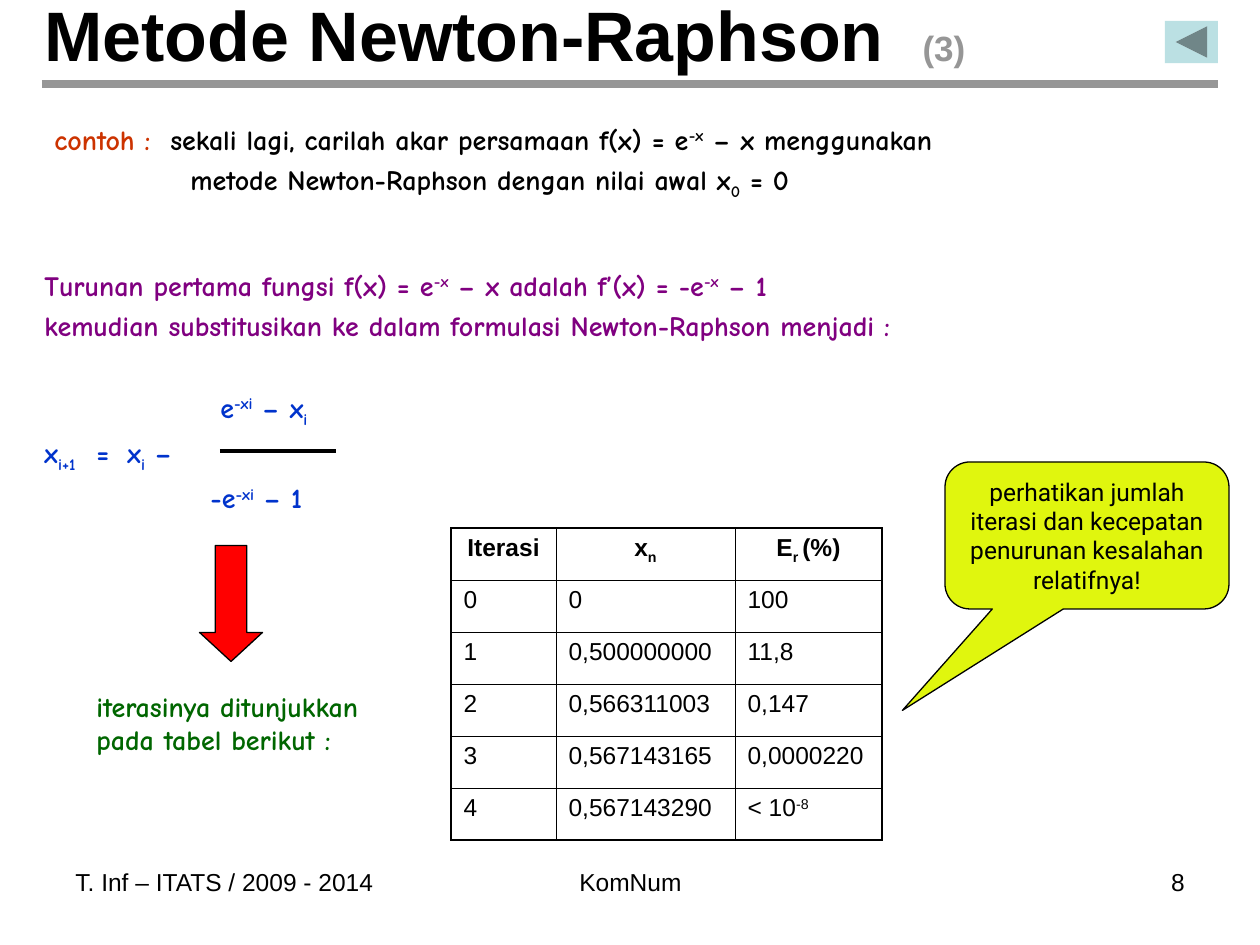
from typing import NamedTuple, Optional

import lxml.etree
import pptx
import pptx.dml.color
import pptx.enum.shapes
import pptx.enum.text
import pptx.oxml.ns
import pptx.util

RGB = pptx.dml.color.RGBColor
SHAPE = pptx.enum.shapes.MSO_SHAPE
ALIGN = pptx.enum.text.PP_ALIGN
ANCHOR = pptx.enum.text.MSO_ANCHOR
qn = pptx.oxml.ns.qn

BLACK = RGB(0x00, 0x00, 0x00)
WHITE = RGB(0xFF, 0xFF, 0xFF)
GRAY = RGB(0x96, 0x96, 0x96)
ORANGE = RGB(0xCC, 0x33, 0x00)
PURPLE = RGB(0x80, 0x00, 0x80)
BLUE = RGB(0x00, 0x33, 0xCC)
GREEN = RGB(0x00, 0x66, 0x00)
RED = RGB(0xFF, 0x00, 0x00)
LIME = RGB(0xE0, 0xF6, 0x0E)
AQUA = RGB(0xBB, 0xE0, 0xE3)

PX = 914400 / 126
SUPER, SUB = 30, -25


class Style(NamedTuple):
    font: str
    size: float
    color: RGB = BLACK
    bold: bool = False


class Run(NamedTuple):
    text: str
    base: int = 0
    style: Optional[Style] = None


class Para(NamedTuple):
    runs: list[Run]
    style: Style
    before: float = 0
    align: ALIGN = ALIGN.LEFT
    tabs: tuple[int, ...] = ()


class Box(NamedTuple):
    left: int
    top: int
    width: int
    height: int


PLAIN = Style("Arial", 14)
HEADER = Style("Arial", 14, bold=True)
TITLE = Style("Arial", 40, bold=True)
TITLE_NUMBER = Style("Arial", 20, GRAY, True)
CALLOUT = Style("Roboto", 14)


def comic(color: RGB) -> Style:
    return Style("Comic Neue", 16, color, True)


def emu(px: int) -> int:
    return round(px * PX)


def area(box: Box) -> list[int]:
    return [emu(length) for length in box]


def write(frame, paras: list[Para]) -> None:
    for index, para in enumerate(paras):
        line = frame.paragraphs[0] if index == 0 else frame.add_paragraph()
        line.alignment = para.align
        line.space_before = pptx.util.Pt(para.before)
        if para.tabs:
            stops = lxml.etree.SubElement(line._p.get_or_add_pPr(), qn("a:tabLst"))
            for stop in para.tabs:
                lxml.etree.SubElement(stops, qn("a:tab"), pos=str(emu(stop)), algn="l")
        for part in para.runs:
            style = part.style or para.style
            run = line.add_run()
            run.text = part.text
            run.font.name = style.font
            run.font.size = pptx.util.Pt(style.size)
            run.font.bold = style.bold
            run.font.color.rgb = style.color
            if part.base:
                run.font._element.set("baseline", str(part.base * 1000))


def add_text(slide, box: Box, paras: list[Para]) -> None:
    frame = slide.shapes.add_textbox(*area(box)).text_frame
    frame.word_wrap = True
    write(frame, paras)


def add_line(slide, start: tuple[int, int], end: tuple[int, int], color: RGB, width: float) -> None:
    line = slide.shapes.add_connector(
        pptx.enum.shapes.MSO_CONNECTOR.STRAIGHT, *map(emu, start + end))
    line.line.color.rgb = color
    line.line.width = pptx.util.Pt(width)
    lxml.etree.SubElement(line._element.spPr, qn("a:effectLst"))


def add_figure(slide, kind: SHAPE, box: Box, fill: RGB, adjust: tuple[float, ...] = (),
               outlined: bool = True):
    figure = slide.shapes.add_shape(kind, *area(box))
    figure.shadow.inherit = False
    figure.fill.solid()
    figure.fill.fore_color.rgb = fill
    if outlined:
        figure.line.color.rgb = BLACK
        figure.line.width = pptx.util.Pt(0.75)
    else:
        figure.line.fill.background()
    for index, value in enumerate(adjust):
        figure.adjustments[index] = value
    return figure


def set_borders(cell, outer: dict[str, bool]) -> None:
    for side, is_outer in outer.items():
        width = pptx.util.Pt(1.08 if is_outer else 0.45)
        border = lxml.etree.SubElement(
            cell._tc.get_or_add_tcPr(), qn(f"a:ln{side}"), w=str(width))
        solid = lxml.etree.SubElement(border, qn("a:solidFill"))
        lxml.etree.SubElement(solid, qn("a:srgbClr"), val=str(BLACK))


def add_iterations(slide, box: Box, widths: list[int], rows: list[list[list[Run]]]) -> None:
    table = slide.shapes.add_table(len(rows), len(widths), *area(box)).table
    table.first_row = table.horz_banding = False
    for column, width in zip(table.columns, widths):
        column.width = emu(width)
    for r, row in enumerate(rows):
        for c, runs in enumerate(row):
            cell = table.cell(r, c)
            set_borders(cell, {"L": c == 0, "R": c == len(widths) - 1,
                               "T": r == 0, "B": r == len(rows) - 1})
            cell.fill.solid()
            cell.fill.fore_color.rgb = WHITE
            style, align = (HEADER, ALIGN.CENTER) if r == 0 else (PLAIN, ALIGN.LEFT)
            write(cell.text_frame, [Para(runs, style, 3.5, align)])


def main() -> None:
    deck = pptx.Presentation()
    deck.slide_width, deck.slide_height = emu(1260), emu(945)
    slide = deck.slides.add_slide(deck.slide_layouts[5])

    # Title and rule
    title = slide.shapes.title
    title.left, title.top, title.width, title.height = area(Box(32, 0, 1134, 67))
    title.text_frame.auto_size = pptx.enum.text.MSO_AUTO_SIZE.NONE
    title.text_frame.vertical_anchor = ANCHOR.MIDDLE
    write(title.text_frame, [Para(
        [Run("Metode Newton-Raphson"), Run("\t(3)", style=TITLE_NUMBER)], TITLE, tabs=(878,))])
    add_line(slide, (42, 84), (1218, 84), GRAY, 4.5)

    # Problem statement
    problem = comic(BLACK)
    add_text(slide, Box(42, 116, 1187, 95), [
        Para([Run("contoh :", style=comic(ORANGE)),
              Run("\tsekali lagi, carilah akar persamaan f(x) = e"),
              Run("-x", SUPER), Run(" – x menggunakan")], problem, 4, tabs=(116,)),
        Para([Run("\tmetode Newton-Raphson dengan nilai awal x"),
              Run("0", SUB), Run(" = 0")], problem, 4, tabs=(136,)),
    ])

    # Derivative and iteration formula
    derivative, formula = comic(PURPLE), comic(BLUE)
    add_text(slide, Box(32, 262, 1092, 252), [
        Para([Run("Turunan pertama fungsi f(x) = e"), Run("-x", SUPER),
              Run(" – x adalah f’(x) = -e"), Run("-x", SUPER), Run(" – 1")], derivative, 4),
        Para([Run("kemudian substitusikan ke dalam formulasi Newton-Raphson menjadi :")],
             derivative, 4),
        Para([Run("\te"), Run("-xi", SUPER), Run(" – x"), Run("i", SUB)],
             formula, 27.4, tabs=(176,)),
        Para([Run("x"), Run("i+1", SUB), Run("\t=\tx"), Run("i", SUB), Run(" –")],
             formula, 4, tabs=(52, 83)),
        Para([Run("\t-e"), Run("-xi", SUPER), Run(" – 1")], formula, 4, tabs=(166,)),
    ])
    add_line(slide, (220, 451), (336, 451), BLACK, 2.25)

    # Iteration table
    values = [("0", "0", "100"), ("1", "0,500000000", "11,8"), ("2", "0,566311003", "0,147"),
              ("3", "0,567143165", "0,0000220")]
    add_iterations(slide, Box(451, 528, 431, 312), [105, 179, 147], [
        [[Run("Iterasi")], [Run("x"), Run("n", SUB)], [Run("E"), Run("r ", SUB), Run("(%)")]],
        *[[[Run(value)] for value in row] for row in values],
        [[Run("4")], [Run("0,567143290")], [Run("< 10"), Run("-8", SUPER)]],
    ])

    # Pointer to the table
    add_text(slide, Box(84, 683, 347, 84), [
        Para([Run("iterasinya ditunjukkan pada tabel berikut :")], comic(GREEN), 4)])
    arrow = add_figure(slide, SHAPE.RIGHT_ARROW, Box(173, 572, 116, 63), RED, (0.5, 0.46))
    arrow.rotation = 90

    # Remark
    remark = add_figure(slide, SHAPE.ROUNDED_RECTANGULAR_CALLOUT, Box(945, 462, 284, 147),
                        LIME, (-0.65, 1.19, 0.17)).text_frame
    remark.word_wrap = True
    remark.vertical_anchor = ANCHOR.MIDDLE
    write(remark, [Para(
        [Run("perhatikan jumlah iterasi dan kecepatan penurunan kesalahan relatifnya!")],
        CALLOUT, align=ALIGN.CENTER)])

    # Back button
    add_figure(slide, SHAPE.ACTION_BUTTON_BACK_OR_PREVIOUS, Box(1165, 21, 53, 42), AQUA,
               outlined=False)

    # Footer
    for left, width, text, align in [
            (63, 347, "T. Inf – ITATS / 2009 - 2014", ALIGN.LEFT),
            (431, 399, "KomNum", ALIGN.CENTER),
            (903, 294, "8", ALIGN.RIGHT)]:
        add_text(slide, Box(left, 861, width, 66), [Para([Run(text)], PLAIN, align=align)])

    deck.save("out.pptx")


if __name__ == "__main__":
    main()
